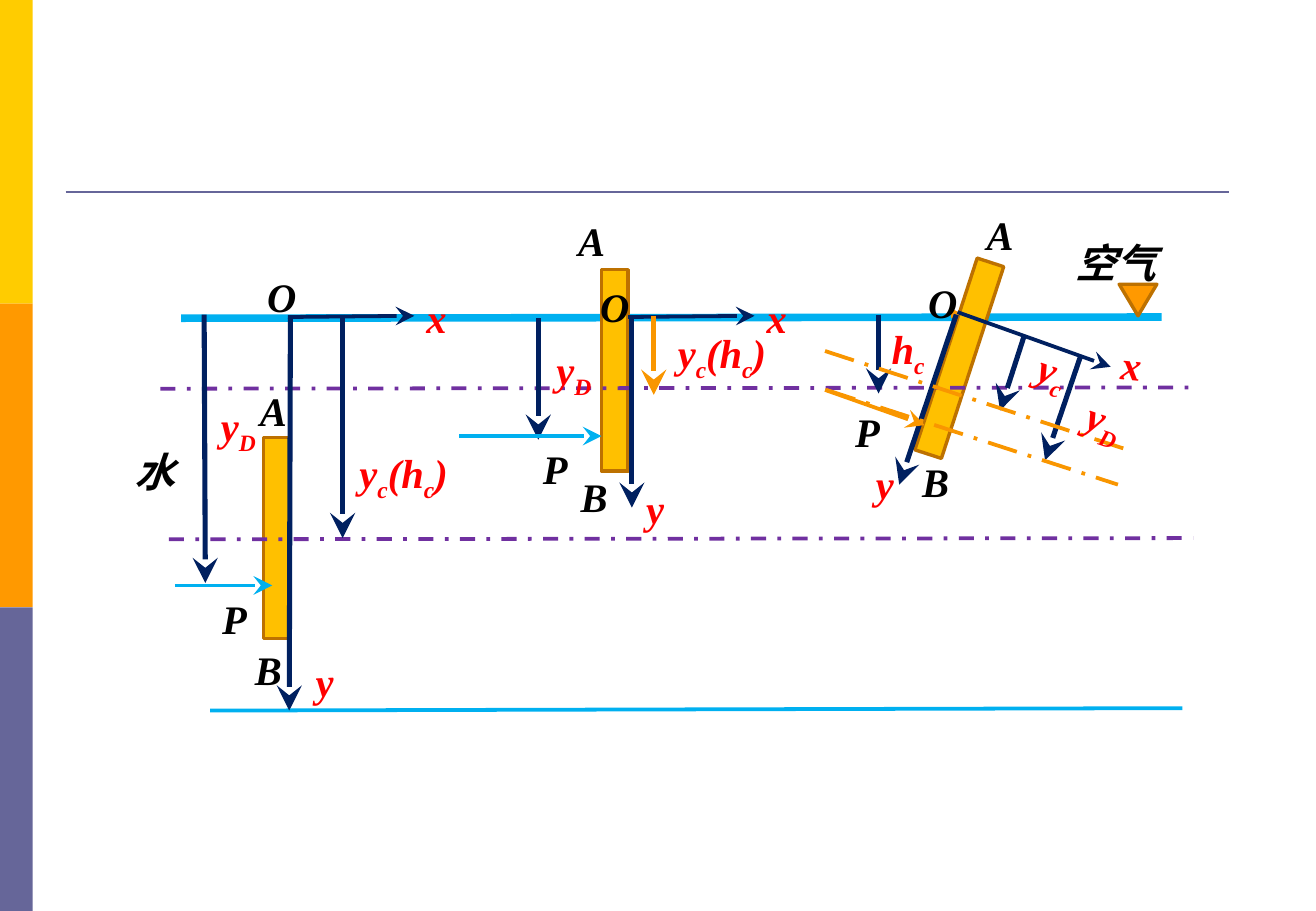
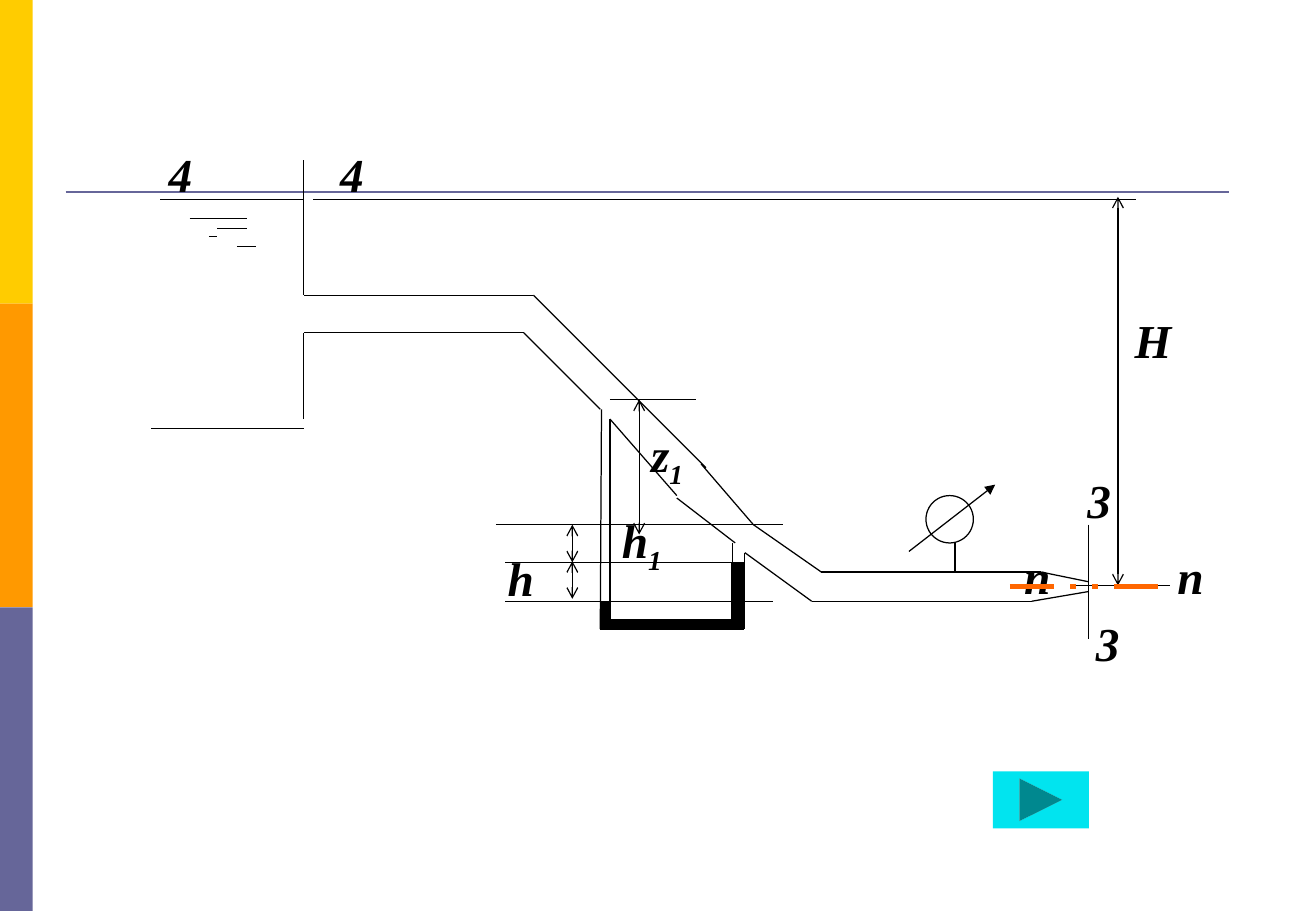
"""Two fluid mechanics diagrams: pressure on submerged plates and a pipe with a manometer."""
from lxml.etree import SubElement
from pptx import Presentation
from pptx.dml.color import RGBColor
from pptx.enum.dml import MSO_LINE as DASH
from pptx.enum.shapes import MSO_CONNECTOR, MSO_SHAPE as SHAPE
from pptx.enum.text import MSO_AUTO_SIZE as FIT
from pptx.oxml.ns import qn
from pptx.util import Pt

PX = 9144
WIDTH, HEIGHT = 1083, 750

WHITE = RGBColor(0xFF, 0xFF, 0xFF)
BLACK = RGBColor(0x00, 0x00, 0x00)
RED = RGBColor(0xFF, 0x00, 0x00)
YELLOW = RGBColor(0xFF, 0xCC, 0x00)
ORANGE = RGBColor(0xFF, 0x99, 0x00)
SLATE = RGBColor(0x66, 0x66, 0x99)
SKY = RGBColor(0x00, 0xB0, 0xF0)
NAVY = RGBColor(0x00, 0x20, 0x60)
PURPLE = RGBColor(0x70, 0x30, 0xA0)
AMBER = RGBColor(0xF9, 0x96, 0x00)
GOLD = RGBColor(0xFF, 0xC0, 0x00)
BROWN = RGBColor(0xBD, 0x71, 0x00)
CYAN = RGBColor(0x01, 0xE4, 0xEF)
FLAME = RGBColor(0xFF, 0x66, 0x00)

LATIN = {"name": "Times New Roman", "bold": True, "italic": True}
CHINESE = {**LATIN, "name": "Arial"}
STEALTH = {"tailEnd": ("stealth", "lg")}
BOTH_ENDS = {"headEnd": ("arrow", "med"), "tailEnd": ("arrow", "med")}
ONE_END = {"tailEnd": ("triangle", "med")}

BAND_COLOURS = [YELLOW, ORANGE, SLATE]
BAND_WIDTH = 27
TITLE_RULE = [(54, 158), (1011, 158)]

SURFACE = [(149, 262), (956, 261)]
PLATES = [(495, 222, 22, 166, 0), (778, 212, 23, 166, 18), (217, 360, 22, 166, 0)]
SURFACE_MARK = (921, 234, 31, 26, 180)
BED = [(173, 585), (973, 583)]
DEPTH_LEVELS = [[(139, 444), (982, 443)], [(132, 320), (979, 319)]]
TILTED_LEVELS = [[(679, 289), (927, 370)], [(680, 321), (920, 399)]]
ORIGIN_TICK = [(782, 258), (791, 258)]
Y_AXES_AND_DEPTHS = [
    [(787, 259), (740, 399)],
    [(520, 262), (520, 418)],
    [(282, 259), (282, 443)],
    [(843, 276), (823, 338)],
    [(723, 259), (723, 324)],
    [(443, 262), (443, 362)],
    [(889, 294), (860, 379)],
    [(168, 259), (169, 480)],
    [(239, 262), (238, 585)],
]
X_AXES = [[(788, 257), (914, 302)], [(517, 261), (621, 260)], [(237, 261), (341, 260)]]
FORCES = [[(378, 359), (495, 359)], [(144, 482), (224, 482)]]
TILTED_FORCE = [(679, 321), (761, 350)]
PIERCING_DEPTH = [(538, 260), (538, 325)]

MEDIA = [("空气", 875, 191, 92), ("水", 101, 363, 49)]
POINTS = [
    ("O", 754, 224, 36), ("O", 484, 227, 36), ("O", 210, 219, 37),
    ("P", 694, 330, 46), ("P", 437, 361, 46), ("P", 173, 484, 41),
    ("A", 466, 173, 49), ("A", 802, 168, 49), ("A", 204, 313, 49),
    ("B", 468, 384, 49), ("B", 749, 371, 49), ("B", 200, 526, 49),
]
QUANTITIES = [
    ("y", 711, 373, 43), ("y", 522, 393, 39, 357.3), ("y", 250, 535, 53, 357.3),
    ("x", 913, 275, 35, 5.6), ("x", 621, 236, 35), ("x", 341, 236, 35),
    ("y_c(h_c)", 286, 364, 112), ("y_c(h_c)", 548, 265, 97),
    ("y_c", 845, 281, 54, 18.6), ("h_c", 724, 262, 54),
    ("y_D", 448, 279, 54), ("y_D", 885, 321, 54, 18.6), ("y_D", 172, 325, 54),
]

PIPE_LABELS = [
    ("3", 885, 383, 79), ("3", 892, 501, 79), ("4", 129, 115, 39), ("4", 270, 115, 39),
    ("n", 959, 446, 55), ("n", 833, 446, 55), ("H", 924, 251, 87), ("h", 408, 447, 36),
    ("z_1", 526, 345, 71), ("h_1", 502, 416, 71),
]
TANK = [
    [(132, 164), (250, 164)], [(250, 353), (124, 353)],
    [(156, 180), (203, 180)], [(179, 188), (203, 188)],
    [(195, 203), (211, 203)], [(172, 195), (179, 195)],
]
PIPE = [
    [(250, 132), (250, 243), (439, 243), (581, 385)],
    [(250, 345), (250, 274), (431, 274), (494, 337)],
    [(502, 345), (557, 408)],
    [(557, 410), (605, 447)],
    [(577, 382), (620, 432), (676, 471), (857, 471), (896, 479)],
    [(613, 455), (668, 495), (849, 495), (896, 487)],
]
MANOMETER = [
    [(495, 337), (494, 518), (612, 518)], [(502, 345), (502, 506)],
    [(603, 447), (603, 506)], [(613, 455), (613, 518)],
]
LEVELS = [
    [(885, 482), (963, 482)], [(258, 164), (935, 164)], [(896, 432), (896, 526)],
    [(613, 463), (416, 463)], [(636, 495), (416, 495)],
    [(502, 329), (573, 329)], [(408, 432), (644, 432)],
]
GAUGE_STEM = [(786, 447), (786, 471)]
GAUGE_NEEDLE = [(748, 454), (819, 399)]
GAUGE = (762, 408, 39, 39)
DIMENSIONS = [
    [(920, 162), (920, 482)], [(471, 462), (471, 493)],
    [(526, 329), (526, 440)], [(471, 432), (471, 463)],
]
MERCURY = [(602, 463, 10, 47), (494, 510, 118, 8), (494, 495, 8, 16)]
DATUM = [(831, 483), (964, 483)]
NEXT_BUTTON = (817, 635, 79, 47)


def add_lines(slide, chains, colour, width, dash=None, ends=None):
    for chain in chains:
        for start, end in zip(chain, chain[1:]):
            segment = slide.shapes.add_connector(
                MSO_CONNECTOR.STRAIGHT, *(value * PX for value in start + end))
            segment.line.color.rgb = colour
            segment.line.width = Pt(width)
            if dash:
                segment.line.dash_style = dash
            properties = segment.element.spPr
            outline = properties.find(qn("a:ln"))
            for tag, (kind, size) in (ends or {}).items():
                SubElement(outline, qn(f"a:{tag}"), type=kind, w=size, len=size)
            SubElement(properties, qn("a:effectLst"))


def add_solid(slide, kind, box, fill=None, line=None, width=0.75):
    left, top, wide, high, *turn = box
    solid = slide.shapes.add_shape(kind, left * PX, top * PX, wide * PX, high * PX)
    solid.shadow.inherit = False
    solid.rotation = turn[0] if turn else 0
    for paint, colour in ((solid.fill, fill), (solid.line.fill, line)):
        if colour is None:
            paint.background()
        else:
            paint.solid()
            paint.fore_color.rgb = colour
    if line is not None:
        solid.line.width = Pt(width)


def add_labels(slide, labels, size, high, colour=BLACK, style=LATIN):
    for text, left, top, wide, *turn in labels:
        label = slide.shapes.add_textbox(left * PX, top * PX, wide * PX, high * PX)
        label.rotation = turn[0] if turn else 0
        frame = label.text_frame
        frame.word_wrap = True
        frame.auto_size = FIT.SHAPE_TO_FIT_TEXT
        base, *tails = text.split("_")
        pieces = [(base, False)]
        for tail in tails:
            pieces += [(tail[0], True), (tail[1:], False)]
        for piece, lowered in pieces:
            if piece:
                run = frame.paragraphs[0].add_run()
                run.text = piece
                for name, value in {**style, "size": Pt(size)}.items():
                    setattr(run.font, name, value)
                run.font.color.rgb = colour
                if lowered:
                    run.font._element.set("baseline", "-25000")


def decorate_layout(layout, slide):
    for holder in list(layout.placeholders):
        holder.element.getparent().remove(holder.element)
    band_height = HEIGHT // len(BAND_COLOURS)
    for row, colour in enumerate(BAND_COLOURS):
        add_solid(slide, SHAPE.RECTANGLE, (0, row * band_height, BAND_WIDTH, band_height), colour)
    add_lines(slide, [TITLE_RULE], SLATE, 1.5)
    for part in list(slide.shapes):
        layout.shapes.element.append(part.element)


def draw_plates(slide):
    add_lines(slide, [SURFACE], SKY, 4.5)
    add_solid(slide, SHAPE.ISOSCELES_TRIANGLE, SURFACE_MARK, ORANGE, BROWN, 2)
    for plate in PLATES:
        add_solid(slide, SHAPE.RECTANGLE, plate, GOLD, BROWN, 2)
    add_lines(slide, [BED], SKY, 2.25)
    add_lines(slide, DEPTH_LEVELS, PURPLE, 2.25, DASH.DASH_DOT)
    add_lines(slide, [ORIGIN_TICK], AMBER, 0.75, ends=ONE_END)
    add_lines(slide, Y_AXES_AND_DEPTHS, NAVY, 3, ends=STEALTH)
    add_lines(slide, X_AXES, NAVY, 2.25, ends=STEALTH)
    add_lines(slide, FORCES, SKY, 2.25, ends=STEALTH)
    add_lines(slide, [TILTED_FORCE], AMBER, 2.25, ends=STEALTH)
    add_lines(slide, TILTED_LEVELS, AMBER, 2.25, DASH.LONG_DASH_DOT)
    add_lines(slide, [PIERCING_DEPTH], AMBER, 3, ends=STEALTH)
    add_labels(slide, MEDIA, 24, 51, style=CHINESE)
    add_labels(slide, POINTS, 24, 50)
    add_labels(slide, QUANTITIES, 24, 50, RED)


def draw_pipe(slide):
    add_labels(slide, PIPE_LABELS, 28, 57)
    add_solid(slide, SHAPE.ACTION_BUTTON_FORWARD_OR_NEXT, NEXT_BUTTON, CYAN)
    add_lines(slide, TANK + PIPE + MANOMETER + LEVELS + [GAUGE_STEM], BLACK, 0.75)
    add_lines(slide, DIMENSIONS, BLACK, 0.75, ends=BOTH_ENDS)
    add_solid(slide, SHAPE.OVAL, GAUGE, line=BLACK)
    add_lines(slide, [GAUGE_NEEDLE], BLACK, 0.75, ends=ONE_END)
    for column in MERCURY:
        add_solid(slide, SHAPE.RECTANGLE, column, BLACK, BLACK)
    add_lines(slide, [DATUM], FLAME, 3.25, DASH.DASH_DOT_DOT)


def main():
    deck = Presentation()
    deck.slide_width, deck.slide_height = WIDTH * PX, HEIGHT * PX
    blank = deck.slide_layouts.get_by_name("Blank")
    blank.background.fill.solid()
    blank.background.fill.fore_color.rgb = WHITE
    plates, pipe = (deck.slides.add_slide(blank) for _ in range(2))
    decorate_layout(blank, plates)
    draw_plates(plates)
    draw_pipe(pipe)
    deck.save("out.pptx")


if __name__ == "__main__":
    main()
